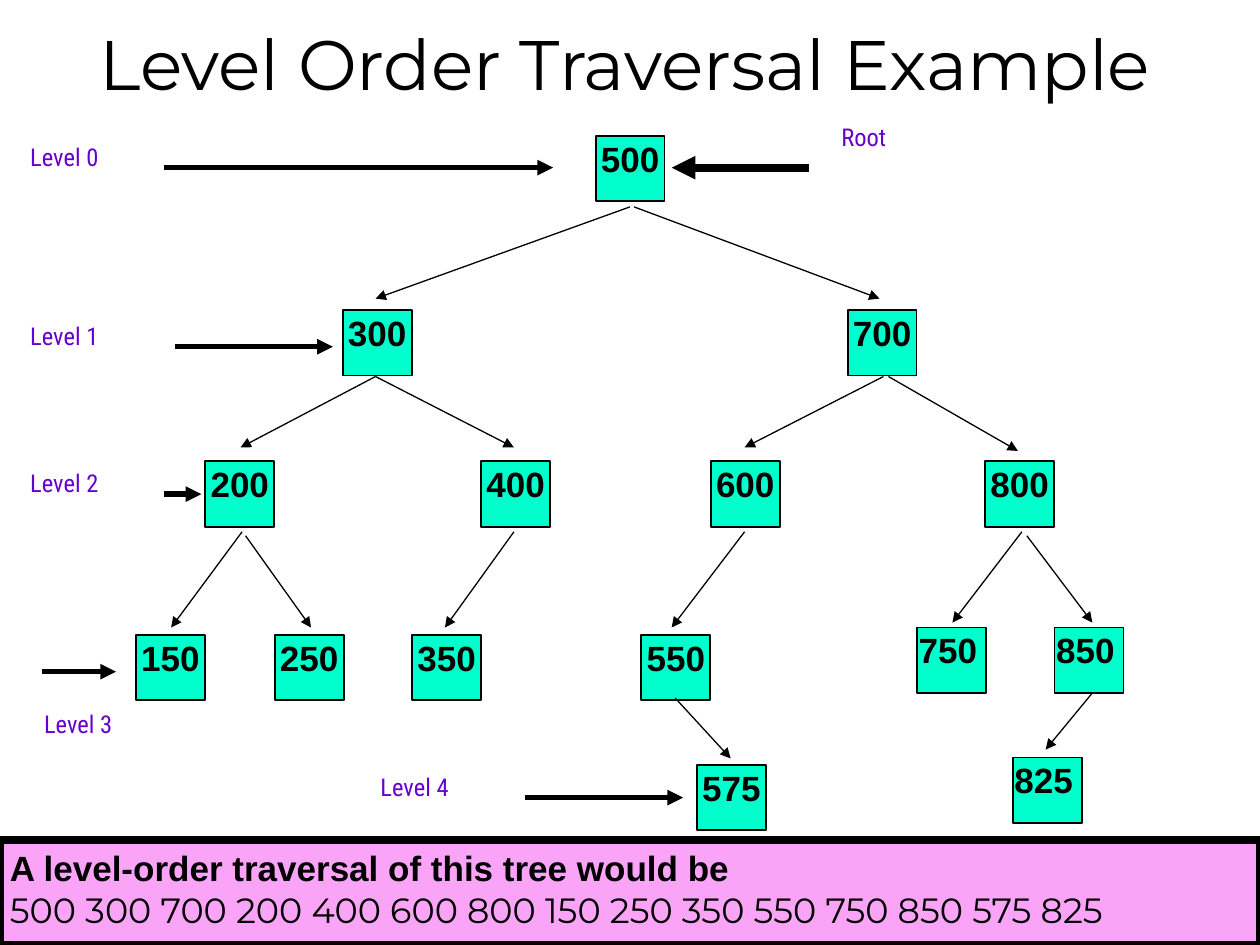
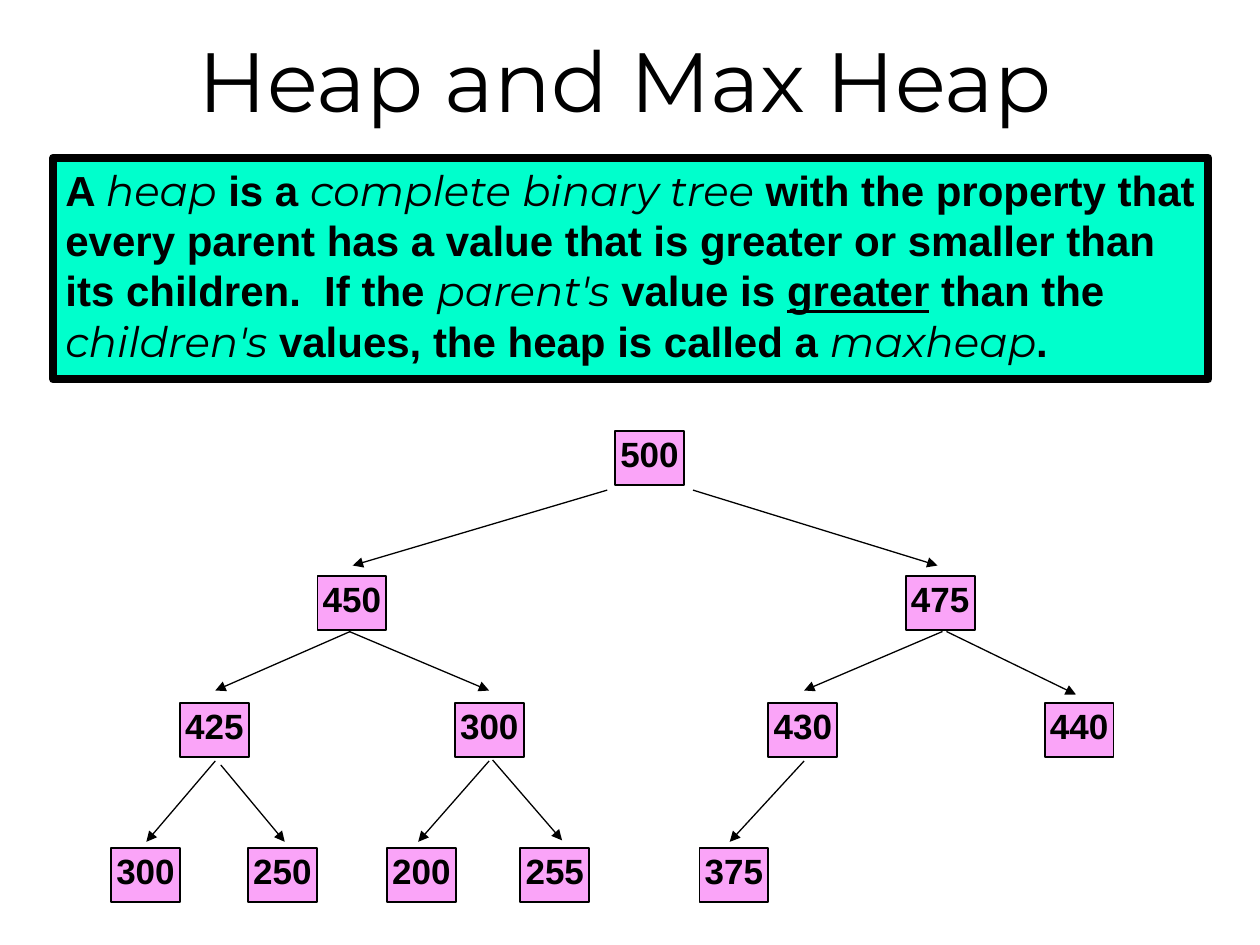
from dataclasses import dataclass

from pptx import Presentation
from pptx.dml.color import RGBColor
from pptx.enum.shapes import MSO_CONNECTOR, MSO_SHAPE
from pptx.enum.text import MSO_ANCHOR, MSO_AUTO_SIZE, PP_ALIGN
from pptx.oxml.ns import qn
from pptx.oxml.xmlchemy import OxmlElement
from pptx.util import Cm, Pt

BLACK = "000000"
MINT = "00FFCC"
PINK = "FAA4F8"
PURPLE = "6600CC"
TITLE_FONT = "Montserrat"
BODY_FONT = "Arial"
LABEL_FONT = "Roboto Condensed"
NODE_WIDTH = 1.39


@dataclass(frozen=True)
class Box:
    """A rectangle in centimetres."""
    x: float
    y: float
    w: float
    h: float

    def lengths(self) -> tuple:
        return Cm(self.x), Cm(self.y), Cm(self.w), Cm(self.h)


@dataclass(frozen=True)
class NodeRow:
    """Tree nodes on one line, as value -> left edge pairs."""
    y: float
    nodes: tuple
    align: PP_ALIGN = PP_ALIGN.CENTER


@dataclass(frozen=True)
class Arrow:
    x1: float
    y1: float
    x2: float
    y2: float
    width: float = 0.75


@dataclass(frozen=True)
class Label:
    text: str
    box: Box


TRAVERSAL_ROWS = (
    NodeRow(2.74, (("500", 12.01),)),
    NodeRow(6.25, (("300", 6.91), ("700", 17.09))),
    NodeRow(9.3, (("200", 4.14), ("400", 9.7), ("600", 14.33), ("800", 19.86))),
    NodeRow(12.8, (("150", 2.74), ("250", 5.54), ("350", 8.31), ("550", 12.93))),
    NodeRow(12.65, (("750", 18.49), ("850", 21.26)), PP_ALIGN.LEFT),
    NodeRow(15.42, (("575", 14.05),)),
    NodeRow(15.27, (("825", 20.42),), PP_ALIGN.LEFT),
)
TRAVERSAL_EDGES = (
    Arrow(12.7, 4.17, 7.57, 6.02),
    Arrow(12.78, 4.17, 17.73, 6.02),
    Arrow(7.57, 7.59, 4.85, 9.02),
    Arrow(7.57, 7.59, 10.36, 9.02),
    Arrow(17.81, 7.59, 15.01, 9.02),
    Arrow(17.91, 7.59, 20.52, 9.09),
    Arrow(4.88, 10.72, 3.45, 12.65),
    Arrow(4.95, 10.8, 6.27, 12.65),
    Arrow(10.36, 10.72, 8.97, 12.65),
    Arrow(15.01, 10.72, 13.54, 12.65),
    Arrow(20.6, 10.72, 19.2, 12.55),
    Arrow(20.7, 10.8, 22.02, 12.55),
    Arrow(13.61, 14.07, 14.73, 15.29),
    Arrow(22.02, 13.97, 21.08, 15.11),
)
LEVEL_ARROWS = (
    Arrow(3.3, 3.38, 11.15, 3.38, 3),
    Arrow(3.53, 6.99, 6.71, 6.99, 3),
    Arrow(3.3, 9.96, 4.06, 9.96, 3),
    Arrow(0.84, 13.54, 2.34, 13.54, 3),
    Arrow(10.59, 16.08, 13.77, 16.08, 3),
    Arrow(16.31, 3.38, 13.54, 3.38, 4.5),
)
LEVEL_CORNERS = ((0.36, 2.74), (0.36, 6.35), (0.36, 9.32), (0.64, 14.17), (7.42, 15.44))
LABELS = (
    Label("Root", Box(16.71, 2.34, 3.89, 1.7)),
    *(Label(f"Level {i}", Box(x, y, 2.74, 1.27)) for i, (x, y) in enumerate(LEVEL_CORNERS)),
)

HEAP_ROWS = (
    NodeRow(8.69, (("500", 12.4),)),
    NodeRow(11.61, (("450", 6.4), ("475", 18.26))),
    NodeRow(14.17, (("425", 3.63), ("300", 9.17), ("430", 15.49), ("440", 21.06))),
    NodeRow(17.09, (("300", 2.24), ("250", 5), ("200", 7.8), ("255", 10.49), ("375", 14.1))),
)
HEAP_EDGES = (
    Arrow(12.24, 9.88, 7.11, 11.4),
    Arrow(13.97, 9.88, 18.9, 11.4),
    Arrow(7.06, 12.73, 4.34, 13.92),
    Arrow(7.04, 12.73, 9.86, 13.92),
    Arrow(19, 12.73, 16.21, 13.92),
    Arrow(19.08, 12.73, 21.69, 14),
    Arrow(4.34, 15.34, 2.95, 16.97),
    Arrow(4.45, 15.42, 5.74, 16.97),
    Arrow(9.86, 15.34, 8.43, 16.97),
    Arrow(9.93, 15.32, 11.33, 16.94),
    Arrow(16.21, 15.34, 14.71, 16.97),
)
# Terms alternate with plain text: odd entries are the italic terms.
HEAP_DEFINITION = (
    "A ", "heap", " is a ", "complete binary tree",
    " with the property that every parent has a value that is greater or smaller"
    " than its children.  If the ",
    "parent's", " value is _greater_ than the ", "children's",
    " values, the heap is called a ", "maxheap", ".",
)


def rgb(color: str) -> RGBColor:
    return RGBColor.from_string(color)


def style(font, name: str, size: float, color: str = BLACK, bold: bool = False) -> None:
    font.name, font.size, font.bold = name, Pt(size), bold
    font.color.rgb = rgb(color)


def set_margins(tf, left: float, top: float, right: float, bottom: float) -> None:
    tf.margin_left, tf.margin_top = Cm(left), Cm(top)
    tf.margin_right, tf.margin_bottom = Cm(right), Cm(bottom)


def add_titled_slide(prs, title: str, height: float, size: float):
    s = prs.slides.add_slide(prs.slide_layouts[5])
    sp = s.shapes.title
    sp.left, sp.top, sp.width, sp.height = Box(0, 0, 25.2, height).lengths()
    tf = sp.text_frame
    tf.text = title
    tf.auto_size = MSO_AUTO_SIZE.NONE
    tf.vertical_anchor = MSO_ANCHOR.MIDDLE
    p = tf.paragraphs[0]
    p.alignment = PP_ALIGN.CENTER
    style(p.font, TITLE_FONT, size)
    return s


def add_panel(s, box: Box, fill: str, line_width: float, margins: tuple):
    """Draw an outlined rectangle and return its text frame."""
    sp = s.shapes.add_shape(MSO_SHAPE.RECTANGLE, *box.lengths())
    sp.shadow.inherit = False
    sp.fill.solid()
    sp.fill.fore_color.rgb = rgb(fill)
    sp.line.color.rgb = rgb(BLACK)
    sp.line.width = Pt(line_width)
    tf = sp.text_frame
    tf.word_wrap = True
    tf.vertical_anchor = MSO_ANCHOR.TOP
    tf.paragraphs[0].alignment = PP_ALIGN.LEFT
    set_margins(tf, *margins)
    return tf


def add_arrow(s, arrow: Arrow) -> None:
    cx = s.shapes.add_connector(MSO_CONNECTOR.STRAIGHT, Cm(arrow.x1), Cm(arrow.y1),
                                Cm(arrow.x2), Cm(arrow.y2))
    cx.line.color.rgb = rgb(BLACK)
    cx.line.width = Pt(arrow.width)
    props = cx._element.spPr
    head = OxmlElement("a:tailEnd")
    head.set("type", "triangle")
    props.find(qn("a:ln")).append(head)
    props.append(OxmlElement("a:effectLst"))


def add_tree(s, rows: tuple, edges: tuple, fill: str, node_height: float) -> None:
    for row in rows:
        for value, x in row.nodes:
            box = Box(x, row.y, NODE_WIDTH, node_height)
            tf = add_panel(s, box, fill, 1, (0.03,) * 4)
            p = tf.paragraphs[0]
            p.text = value
            p.alignment = row.align
            style(p.font, BODY_FONT, 20, bold=True)
    for edge in edges:
        add_arrow(s, edge)


def add_label(s, label: Label) -> None:
    tf = s.shapes.add_textbox(*label.box.lengths()).text_frame
    tf.word_wrap = True
    tf.text = label.text
    style(tf.paragraphs[0].font, LABEL_FONT, 14, PURPLE)


def build_traversal_slide(prs) -> None:
    s = add_titled_slide(prs, "Level Order Traversal Example", 2.54, 40)
    add_tree(s, TRAVERSAL_ROWS, TRAVERSAL_EDGES, MINT, 1.32)
    tf = add_panel(s, Box(0, 16.94, 25.4, 2.11), PINK, 4.5, (0.2, 0.13, 0.15, 0.13))
    intro = tf.paragraphs[0]
    intro.text = "A level-order traversal of this tree would be"
    style(intro.font, BODY_FONT, 20, bold=True)
    order = tf.add_paragraph()
    order.text = " ".join(value for row in TRAVERSAL_ROWS for value, _ in row.nodes)
    order.alignment = PP_ALIGN.LEFT
    style(order.font, TITLE_FONT, 20)
    for arrow in LEVEL_ARROWS:
        add_arrow(s, arrow)
    for label in LABELS:
        add_label(s, label)


def build_heap_slide(prs) -> None:
    s = add_titled_slide(prs, "Heap and Max Heap", 3.18, 48)
    tf = add_panel(s, Box(1.07, 3.18, 23.29, 4.47), MINT, 4.5, (0.25, 0.13, 0.25, 0.13))
    p = tf.paragraphs[0]
    for i, passage in enumerate(HEAP_DEFINITION):
        is_term = i % 2 == 1
        for j, text in enumerate(passage.split("_")):
            r = p.add_run()
            r.text = text
            style(r.font, TITLE_FONT if is_term else BODY_FONT, 24, bold=not is_term)
            r.font.italic = is_term
            r.font.underline = j % 2 == 1
    add_tree(s, HEAP_ROWS, HEAP_EDGES, PINK, 1.09)


def main() -> None:
    prs = Presentation()
    prs.slide_width, prs.slide_height = Cm(25.4), Cm(19.05)
    build_traversal_slide(prs)
    build_heap_slide(prs)
    prs.save("out.pptx")


if __name__ == "__main__":
    main()
